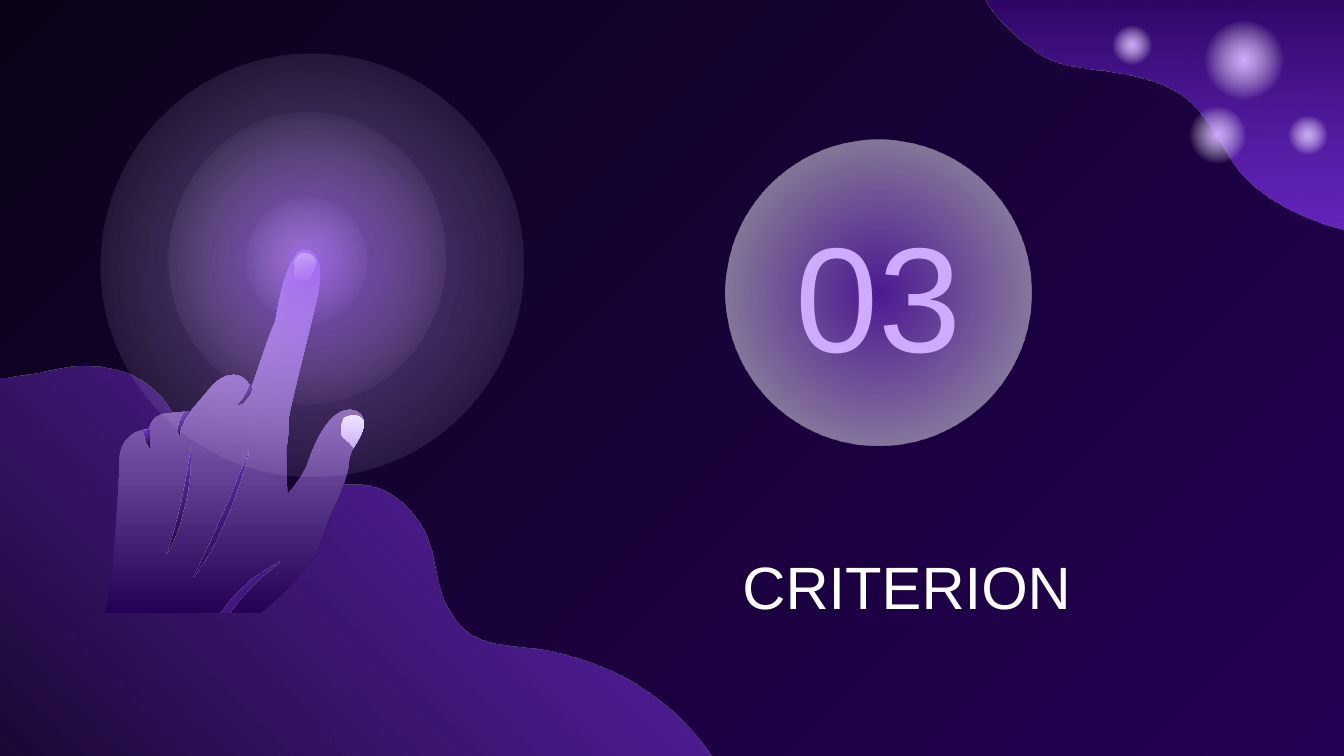
from pptx import Presentation
from pptx.dml.color import RGBColor
from pptx.enum import shapes, text
from pptx.oxml import parse_xml
from pptx.oxml.ns import nsdecls
from pptx.util import Cm, Pt

NIGHT = RGBColor(0x0B, 0x02, 0x18)
INDIGO = RGBColor(0x24, 0x01, 0x55)
VIOLET = RGBColor(0x81, 0x34, 0xEC)
ORCHID = RGBColor(0xB4, 0x7F, 0xFF)
LILAC = RGBColor(0xCE, 0xAB, 0xFF)
WHITE = RGBColor(0xFF, 0xFF, 0xFF)

FONT = "Arial"
ARC = 0.55  # handle length of a quarter circle, as a share of its radius

# Gradient stops: position %, colour, opacity %
DUSK = [(0, NIGHT, 100), (100, VIOLET, 70)]
CORNER = [(0, VIOLET, 70), (100, INDIGO, 100)]
SKIN = [(0, INDIGO, 100), (100, LILAC, 100)]
NAIL = [(0, WHITE, 100), (100, LILAC, 100)]
BADGE = [(0, VIOLET, 49), (77, WHITE, 49), (100, WHITE, 49)]


def fading(color, opacity, end):
    return [(0, color, opacity), (end, WHITE, 0), (100, WHITE, 0)]


# Outlines in grid units: a start point, then line ends (x, y)
# and Bezier curves (x1, y1, x2, y2, x, y).
LOWER_WAVE = [
    (-50, 265), (-41, 271, -29, 278, -18, 280), (-2, 283, 14, 280, 30, 277),
    (42, 274, 54, 272, 65, 272), (94, 272, 118, 285, 130, 311),
    (142, 338, 125, 368, 143, 394), (162, 423, 192, 393, 210, 379),
    (231, 363, 265, 352, 290, 367), (302, 374, 312, 386, 317, 398),
    (323, 412, 323, 427, 328, 441), (332, 453, 342, 469, 355, 474),
    (369, 480, 384, 480, 399, 482), (459, 491, 516, 527, 540, 583),
    (543, 590, 546, 601, 546, 609), (-93, 609), (-83, 227),
    (-79, 240, -61, 257, -50, 265),
]
UPPER_WAVE = [
    (1013, -15), (985, -15, 958, -13, 930, -15), (901, -17, 872, -21, 843, -21),
    (822, -21, 801, -20, 780, -20), (770, -20, 739, -24, 733, -12),
    (726, 2, 758, 29, 768, 36), (784, 49, 802, 50, 822, 53),
    (843, 56, 863, 59, 881, 72), (896, 84, 905, 101, 914, 116),
    (924, 133, 939, 145, 956, 154), (970, 161, 991, 171, 1008, 171),
    (1010, 160, 1009, 148, 1009, 137), (1009, 125, 1013, 114, 1013, 103),
    (1013, 91, 1013, 79, 1013, 67), (1013, 0),
]
HAND = [
    (227, 186), (226, 186, 226, 186, 226, 186), (226, 186, 226, 186, 225, 186),
    (224, 186, 213, 188, 205, 239),
    (205, 239, 201, 248, 197, 260), (187, 289), (187, 289, 183, 279, 174, 279),
    (169, 279, 164, 281, 158, 287), (142, 306), (122, 308),
    (122, 308, 113, 309, 111, 319), (103, 321), (103, 321, 87, 325, 89, 348),
    (89, 348, 84, 454, 77, 456), (194, 456), (228, 428, 237, 408, 237, 408),
    (241, 395, 247, 380, 247, 380), (256, 363, 259, 349, 259, 349),
    (259, 342, 262, 335, 262, 335), (277, 314, 268, 308, 268, 308),
    (266, 306, 263, 305, 260, 305), (241, 305, 229, 345, 229, 345),
    (226, 354, 214, 368, 214, 368), (213, 359, 213, 333, 213, 333),
    (215, 326, 215, 310, 215, 310), (217, 299, 226, 263, 226, 263),
    (235, 226), (244, 189, 231, 186, 227, 186),
]
CREASES = [
    [(176, 301), (183, 301, 187, 289, 187, 289), (187, 289, 187, 287, 185, 286),
     (182, 296, 176, 301, 176, 301)],
    [(134, 324), (134, 314, 142, 306, 142, 306), (137, 306),
     (130, 317, 134, 324, 134, 324)],
    [(107, 320), (106, 325, 111, 334, 111, 334), (110, 330, 111, 319, 111, 319)],
    [(164, 456), (171, 456), (177, 447, 188, 434, 208, 418),
     (208, 418, 181, 430, 164, 456)],
    [(185, 335), (185, 335, 163, 390, 144, 429), (144, 429, 167, 403, 185, 335)],
    [(142, 331), (142, 331, 135, 384, 124, 412), (124, 412, 142, 384, 142, 331)],
]
NAILS = [
    [(224, 209), (231, 209, 234, 201, 235, 195), (234, 193, 234, 192, 233, 191),
     (231, 189, 228, 188, 227, 188), (226, 188, 226, 188, 226, 188), (225, 188),
     (225, 188, 222, 189, 219, 195), (217, 209, 224, 209, 224, 209)],
    [(263, 333), (269, 324, 271, 318, 271, 314), (267, 305, 256, 311, 256, 311),
     (251, 323, 256, 326, 256, 326), (259, 328, 262, 331, 263, 333)],
]
# Centre, then the radius that points right and up
SPARKS = [((925.5, 45), (29.5, -13)), ((973.5, 100.5), (14.5, -6.5)),
          ((842.5, 33.5), (14.5, -6.5)), ((906, 100.5), (21, -9.5))]


def grid(units):
    """Length of a number of grid units; the slide is 1000 units wide."""
    return Cm(0.0254 * units)


def paint(shape, stops, angle=None):
    """Fill with a linear gradient, or a radial one when there is no angle."""
    shape.shadow.inherit = False
    shape.line.fill.background()
    shape.fill.background()
    stop_xml = "".join(
        f'<a:gs pos="{position * 1000}"><a:srgbClr val="{color}">'
        f'<a:alpha val="{opacity * 1000}"/></a:srgbClr></a:gs>'
        for position, color, opacity in stops)
    if angle is None:
        direction = ('<a:path path="circle"><a:fillToRect l="50000" t="50000" '
                     'r="50000" b="50000"/></a:path>')
    else:
        direction = f'<a:lin ang="{angle * 60000}" scaled="0"/>'
    gradient = parse_xml(f'<a:gradFill {nsdecls("a")} rotWithShape="1">'
                         f'<a:gsLst>{stop_xml}</a:gsLst>{direction}</a:gradFill>')
    properties = shape._element.spPr
    properties.replace(properties.find("{*}noFill"), gradient)


def bend_lines(shape, segments):
    """Join each three lines that stand for a curve into one Bezier curve."""
    outline = shape._element.find(".//{*}pathLst")[0]
    lines = iter(outline.findall("{*}lnTo"))
    for segment in segments:
        parts = [next(lines) for _ in range(len(segment) // 2)]
        if len(parts) == 3:
            curve = parse_xml(f'<a:cubicBezTo {nsdecls("a")}/>')
            parts[0].addprevious(curve)
            for part in parts:
                curve.append(part[0])
                outline.remove(part)


def add_outline(slide, outline, stops, angle=None):
    points = [(grid(segment[i]), grid(segment[i + 1]))
              for segment in outline for i in range(0, len(segment), 2)]
    builder = slide.shapes.build_freeform(*points[0])
    builder.add_line_segments(points[1:], close=True)
    shape = builder.convert_to_shape()
    bend_lines(shape, outline[1:])
    paint(shape, stops, angle)


def add_glow(slide, center, radius, stops, second_radius=None):
    """Draw a tilted ellipse from its centre and two radii, alike by default."""
    a = radius
    b = second_radius or (-radius[1], radius[0])
    spokes = [a, b, (-a[0], -a[1]), (-b[0], -b[1]), a]

    def point(main, side=(0, 0)):
        return tuple(c + m + ARC * s for c, m, s in zip(center, main, side))

    outline = [point(a)]
    for start, end in zip(spokes, spokes[1:]):
        outline.append(point(start, end) + point(end, start) + point(end))
    add_outline(slide, outline, stops)


def add_badge(slide):
    badge = slide.shapes.add_shape(shapes.MSO_SHAPE.OVAL, grid(540), grid(104),
                                   grid(227.5), grid(227.5))
    paint(badge, BADGE)


def add_label(slide, box, wording, size, color):
    frame = slide.shapes.add_textbox(*map(grid, box)).text_frame
    frame.word_wrap = True
    frame.vertical_anchor = text.MSO_ANCHOR.MIDDLE
    frame.margin_left = frame.margin_right = grid(10)
    frame.margin_top = frame.margin_bottom = grid(10)
    frame.text = wording
    paragraph = frame.paragraphs[0]
    paragraph.alignment = text.PP_ALIGN.CENTER
    font = paragraph.runs[0].font
    font.name, font.size, font.color.rgb = FONT, Pt(size), color


def set_background(slide):
    fill = slide.background.fill
    fill.gradient()
    fill.gradient_angle = 315
    for stop, position, color in zip(fill.gradient_stops, (0, 1), (NIGHT, INDIGO)):
        stop.position = position
        stop.color.rgb = color


def add_pointing_hand(slide):
    add_glow(slide, (228.5, 192.5), (94.5, -43.5), fading(ORCHID, 50, 69), (40.5, 99.5))
    add_glow(slide, (228.5, 193.5), (41.5, -18.5), fading(WHITE, 50, 67), (17.5, 43.5))
    add_outline(slide, HAND, SKIN, 270)
    for crease in CREASES:
        add_outline(slide, crease, DUSK, 225)
    for nail in NAILS:
        add_outline(slide, nail, NAIL, 90)
    add_glow(slide, (232.5, 197.5), (144.5, -62.5), fading(VIOLET, 50, 77))


def main():
    presentation = Presentation()
    presentation.slide_width, presentation.slide_height = grid(1000), grid(562.5)
    slide = presentation.slides.add_slide(presentation.slide_layouts[6])
    set_background(slide)
    add_outline(slide, LOWER_WAVE, DUSK, 315)
    add_outline(slide, UPPER_WAVE, CORNER, 270)
    for center, radius in SPARKS:
        add_glow(slide, center, radius, fading(LILAC, 100, 57))
    add_badge(slide)
    add_label(slide, (413, 352, 536, 168), "CRITERION ", 32, WHITE)
    add_label(slide, (556, 159, 196, 118), "03", 80, LILAC)
    add_pointing_hand(slide)
    presentation.save("out.pptx")


if __name__ == "__main__":
    main()
